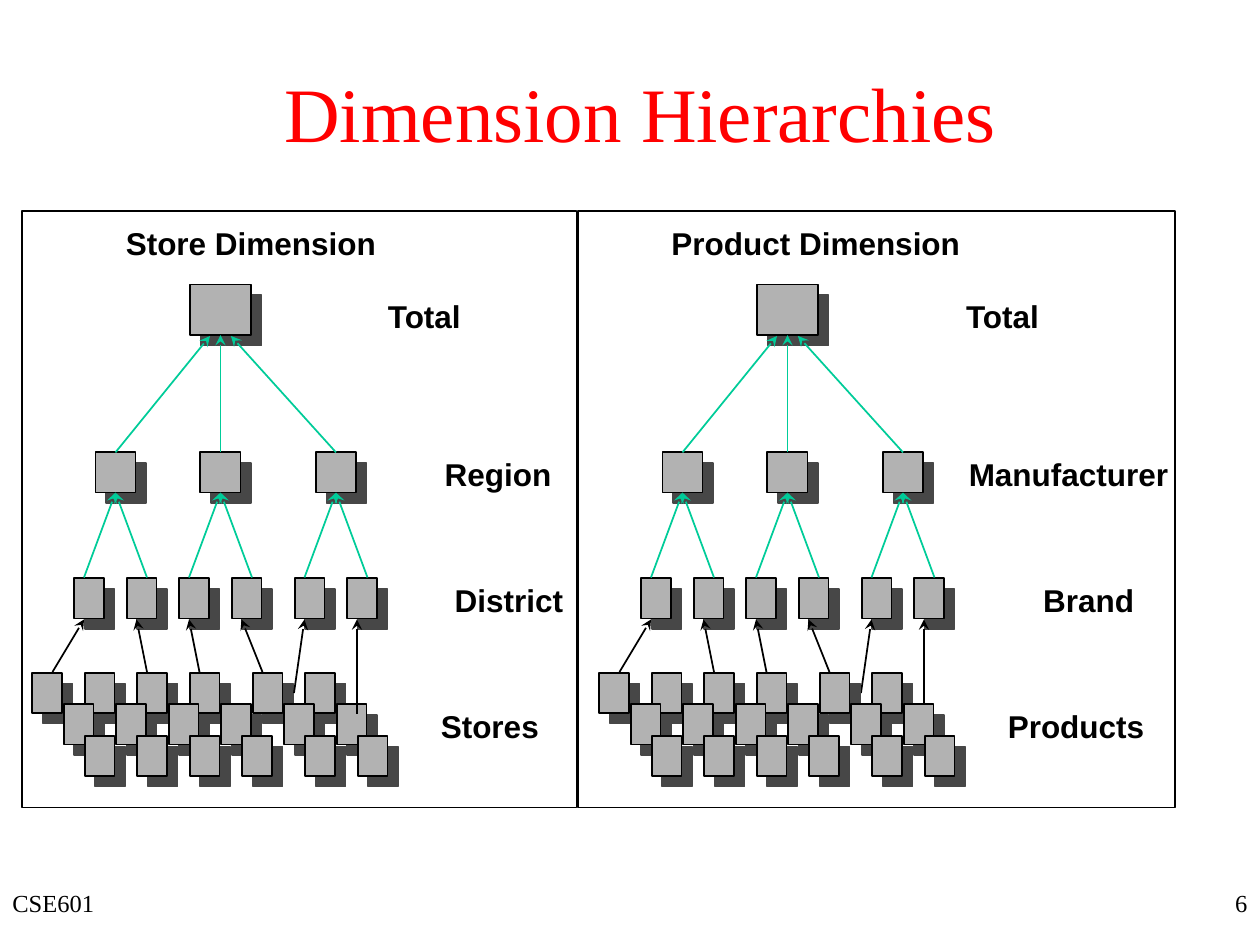
from lxml import etree
from pptx import Presentation
from pptx.dml.color import RGBColor
from pptx.enum.dml import MSO_LINE
from pptx.enum.shapes import MSO_CONNECTOR, MSO_SHAPE
from pptx.enum.text import MSO_ANCHOR, MSO_AUTO_SIZE, PP_ALIGN
from pptx.oxml.ns import qn
from pptx.util import Pt

RECTANGLE = MSO_SHAPE.RECTANGLE
STRAIGHT = MSO_CONNECTOR.STRAIGHT
SOLID = MSO_LINE.SOLID
TOP, BOTTOM = MSO_ANCHOR.TOP, MSO_ANCHOR.BOTTOM
LEFT, CENTER, RIGHT = PP_ALIGN.LEFT, PP_ALIGN.CENTER, PP_ALIGN.RIGHT
FIT_SHAPE, NO_FIT = MSO_AUTO_SIZE.SHAPE_TO_FIT_TEXT, MSO_AUTO_SIZE.NONE
SIDE_TOP, SIDE_BOTTOM = 0, 2

BLACK = RGBColor(0x00, 0x00, 0x00)
RED = RGBColor(0xFF, 0x00, 0x00)
GREEN = RGBColor(0x00, 0xCC, 0x99)
GRAY = RGBColor(0xB2, 0xB2, 0xB2)
SHADOW = RGBColor(0x47, 0x47, 0x47)

PANEL_STEP = 324
ROOT_CENTER = 126
GROUP_CENTERS = (66, 126, 192)
ROOT_ENTRIES = (120, 126, 132)
LEAF_ROWS = ((-24, 384.5), (-6, 402.5), (6, 420.5))
LEAF_ARROW_STARTS = ((30, 384), (84, 384), (114, 384),
                     (150, 384), (168, 396), (204, 408))
LABEL_TOPS = (124.6, 166.3, 256.3, 328.3, 400.3)
STORE_LABELS = (("Store Dimension", 64.8, 157.7), ("Total", 214.6, 57.6),
                ("Region", 247, 75.6), ("District", 252.7, 76.3),
                ("Stores", 244.8, 70.6))
PRODUCT_LABELS = (("Product Dimension", 376.6, 179.3), ("Total", 545, 57.6),
                  ("Manufacturer", 546.5, 128.9), ("Brand", 589, 66.2),
                  ("Products", 568.8, 92.9))


def add_text(slide, text, left, top, width, height, *, size, font, color=BLACK,
             bold=False, align=LEFT, anchor=TOP, margins=(7.2, 3.6),
             wrap=True, fit=NO_FIT):
    box = slide.shapes.add_textbox(Pt(left), Pt(top), Pt(width), Pt(height))
    frame = box.text_frame
    frame.word_wrap = wrap
    frame.auto_size = fit
    frame.vertical_anchor = anchor
    frame.margin_left = frame.margin_right = Pt(margins[0])
    frame.margin_top = frame.margin_bottom = Pt(margins[1])
    paragraph = frame.paragraphs[0]
    paragraph.alignment = align
    run = paragraph.add_run()
    run.text = text
    run.font.size = Pt(size)
    run.font.name = font
    run.font.bold = bold
    run.font.color.rgb = color


def add_frame(slide, left, top, width, height):
    frame = slide.shapes.add_shape(RECTANGLE, Pt(left), Pt(top), Pt(width), Pt(height))
    frame.shadow.inherit = False
    frame.fill.background()
    frame.line.color.rgb = BLACK
    frame.line.width = Pt(1)
    return frame


def add_node(slide, left, top, width, height):
    node = add_frame(slide, left, top, width, height)
    node.fill.solid()
    node.fill.fore_color.rgb = GRAY
    effects = node._element.spPr.find(qn("a:effectLst"))
    shadow = etree.SubElement(effects, qn("a:outerShdw"), dist=str(Pt(8.5)),
                              dir="2700000", algn="ctr", rotWithShape="0")
    etree.SubElement(shadow, qn("a:srgbClr"), val=str(SHADOW))
    return node


def add_arrow(slide, start, end, color):
    arrow = slide.shapes.add_connector(
        STRAIGHT, Pt(start[0]), Pt(start[1]), Pt(end[0]), Pt(end[1]))
    arrow.line.color.rgb = color
    arrow.line.width = Pt(1)
    arrow.line.dash_style = SOLID
    etree.SubElement(arrow.line._get_or_add_ln(), qn("a:tailEnd"), type="stealth")
    etree.SubElement(arrow._element.spPr, qn("a:effectLst"))
    return arrow


def add_upper_levels(slide, dx):
    root = add_node(slide, dx + ROOT_CENTER - 17.5, 162.5, 35, 29)
    for center, entry in zip(GROUP_CENTERS, ROOT_ENTRIES):
        x = dx + center
        group = add_node(slide, x - 11.5, 258.5, 23, 23)
        to_root = add_arrow(slide, (x, 258), (dx + entry, 192), GREEN)
        to_root.begin_connect(group, SIDE_TOP)
        if entry == ROOT_CENTER:
            to_root.end_connect(root, SIDE_BOTTOM)
        for child_left, child_start in ((-23.5, -18), (6.5, 18)):
            add_node(slide, x + child_left, 330.5, 17, 23)
            to_group = add_arrow(slide, (x + child_start, 330), (x, 282), GREEN)
            to_group.end_connect(group, SIDE_BOTTOM)


def child_lefts(dx):
    return [dx + center + side for center in GROUP_CENTERS for side in (-23.5, 6.5)]


def add_leaves(slide, dx):
    for shift, top in LEAF_ROWS:
        for left in child_lefts(dx):
            add_node(slide, left + shift, top, 17, 23)


def add_leaf_arrows(slide, dx):
    for (x, y), left in zip(LEAF_ARROW_STARTS, child_lefts(dx)):
        add_arrow(slide, (dx + x, y), (left + 5.5, 354), BLACK)


def add_labels(slide, labels):
    for (text, left, width), top in zip(labels, LABEL_TOPS):
        add_text(slide, text, left, top, width, 29, size=18, font="Arial",
                 bold=True, wrap=False, fit=FIT_SHAPE)


def main():
    deck = Presentation()
    deck.slide_width, deck.slide_height = Pt(720), Pt(540)
    slide = deck.slides.add_slide(deck.slide_layouts[6])

    add_text(slide, "CSE601", 0, 504, 228, 36, size=14, font="Times New Roman")
    add_text(slide, "6", 570, 504, 150, 36, size=14, font="Times New Roman", align=RIGHT)
    add_text(slide, "Dimension Hierarchies", 30, 0, 672, 90, size=44,
             font="Times New Roman", color=RED, align=CENTER, anchor=BOTTOM,
             margins=(0, 0))

    for dx in (0, PANEL_STEP):
        add_upper_levels(slide, dx)
    for labels in (STORE_LABELS, PRODUCT_LABELS):
        add_labels(slide, labels)
    add_frame(slide, 12.5, 120.5, 317, 341)
    add_frame(slide, 330.5, 120.5, 341, 341)

    add_leaves(slide, 0)
    add_leaf_arrows(slide, 0)
    add_leaf_arrows(slide, PANEL_STEP)
    add_leaves(slide, PANEL_STEP)

    deck.save("out.pptx")


if __name__ == "__main__":
    main()
